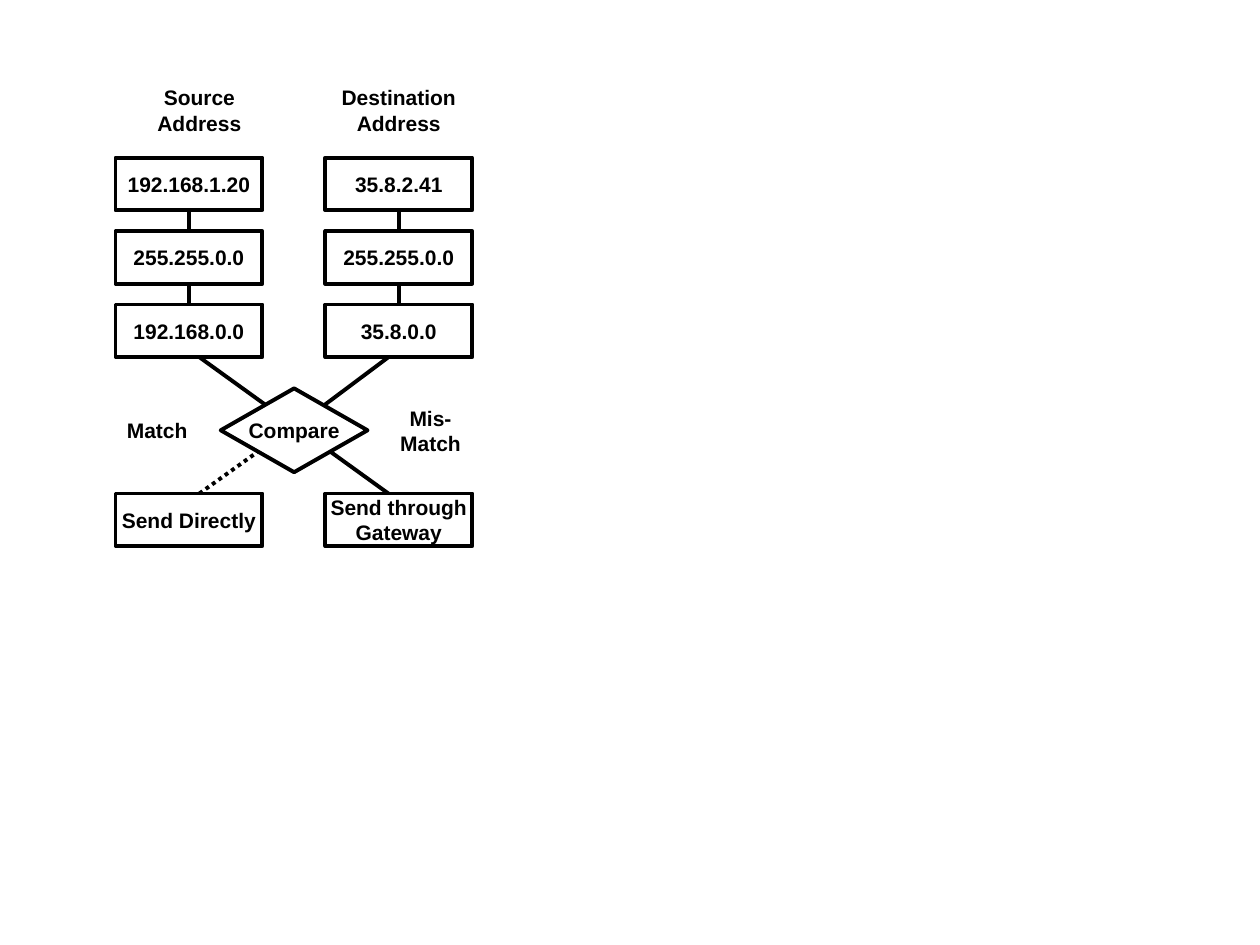
from dataclasses import dataclass

from lxml import etree
from pptx import Presentation
from pptx.dml.color import RGBColor
from pptx.enum.dml import MSO_LINE
from pptx.enum.shapes import MSO_CONNECTOR, MSO_SHAPE
from pptx.enum.text import MSO_ANCHOR, PP_ALIGN
from pptx.oxml.ns import qn
from pptx.util import Cm, Pt


@dataclass(frozen=True)
class Theme:
    ink: RGBColor = RGBColor(0, 0, 0)
    paper: RGBColor = RGBColor(255, 255, 255)
    font: str = "Arial"
    size: Pt = Pt(12)
    stroke: Pt = Pt(2.25)


theme = Theme()
BOX_WIDTH, BOX_HEIGHT = 2.96, 1.06
SOURCE_LEFT, DESTINATION_LEFT = 2.33, 6.56
STACK_TOP, STACK_STEP = 3.18, 1.48
HEADER_TOP, LABEL_TOP, RESULT_TOP = 1.69, 8.15, 9.95

deck = Presentation()
deck.slide_width, deck.slide_height = Cm(25.4), Cm(19.05)
page = deck.slides.add_slide(deck.slide_layouts[6])


def add_box(text, left, top, height=BOX_HEIGHT, kind=MSO_SHAPE.RECTANGLE, outlined=True):
    """Add a centred text block; a kind of None gives a plain text box."""
    place = Cm(left), Cm(top), Cm(BOX_WIDTH), Cm(height)
    if kind is None:
        box = page.shapes.add_textbox(*place)
    else:
        box = page.shapes.add_shape(kind, *place)
        box.shadow.inherit = False
        box.fill.solid()
        box.fill.fore_color.rgb = theme.paper
        if outlined:
            box.line.color.rgb = theme.ink
            box.line.width = theme.stroke
        else:
            box.line.fill.background()
    frame = box.text_frame
    frame.text = text
    frame.word_wrap = False
    frame.vertical_anchor = MSO_ANCHOR.MIDDLE
    for para in frame.paragraphs:
        para.alignment = PP_ALIGN.CENTER
        para.font.name = theme.font
        para.font.size = theme.size
        para.font.bold = True
        para.font.color.rgb = theme.ink
    return box


def add_line(x1=0, y1=0, x2=0, y2=0):
    line = page.shapes.add_connector(MSO_CONNECTOR.STRAIGHT, Cm(x1), Cm(y1), Cm(x2), Cm(y2))
    line.line.color.rgb = theme.ink
    line.line.width = theme.stroke
    etree.SubElement(line._element.spPr, qn("a:effectLst"))
    return line


# Lines that meet at the comparison lie behind the boxes
match_line = add_line(4.02, RESULT_TOP, 5.5, 8.89)
match_line.line.dash_style = MSO_LINE.ROUND_DOT
add_line(4.02, 7.2, 7.83, RESULT_TOP)
add_line(7.83, 7.2, 5.29, 9.1)

# Each column: header, address, mask, network, outcome
columns = [
    (SOURCE_LEFT, 2.54, "Source\nAddress",
     ["192.168.1.20", "255.255.0.0", "192.168.0.0"], "Send Directly"),
    (DESTINATION_LEFT, DESTINATION_LEFT, "Destination\nAddress",
     ["35.8.2.41", "255.255.0.0", "35.8.0.0"], "Send through\nGateway"),
]
for left, header_left, header, addresses, result in columns:
    add_box(header, header_left, HEADER_TOP, outlined=False)
    stack = [add_box(address, left, STACK_TOP + row * STACK_STEP)
             for row, address in enumerate(addresses)]
    for upper, lower in zip(stack, stack[1:]):
        link = add_line()
        link.begin_connect(upper, 2)
        link.end_connect(lower, 0)
    add_box(result, left, RESULT_TOP)

add_box("Compare", 4.45, 7.83, 1.69, MSO_SHAPE.FLOWCHART_DECISION)
add_box("Match", 1.69, LABEL_TOP, kind=None)
add_box("Mis-\nMatch", 7.2, LABEL_TOP, kind=None)

deck.save("out.pptx")
